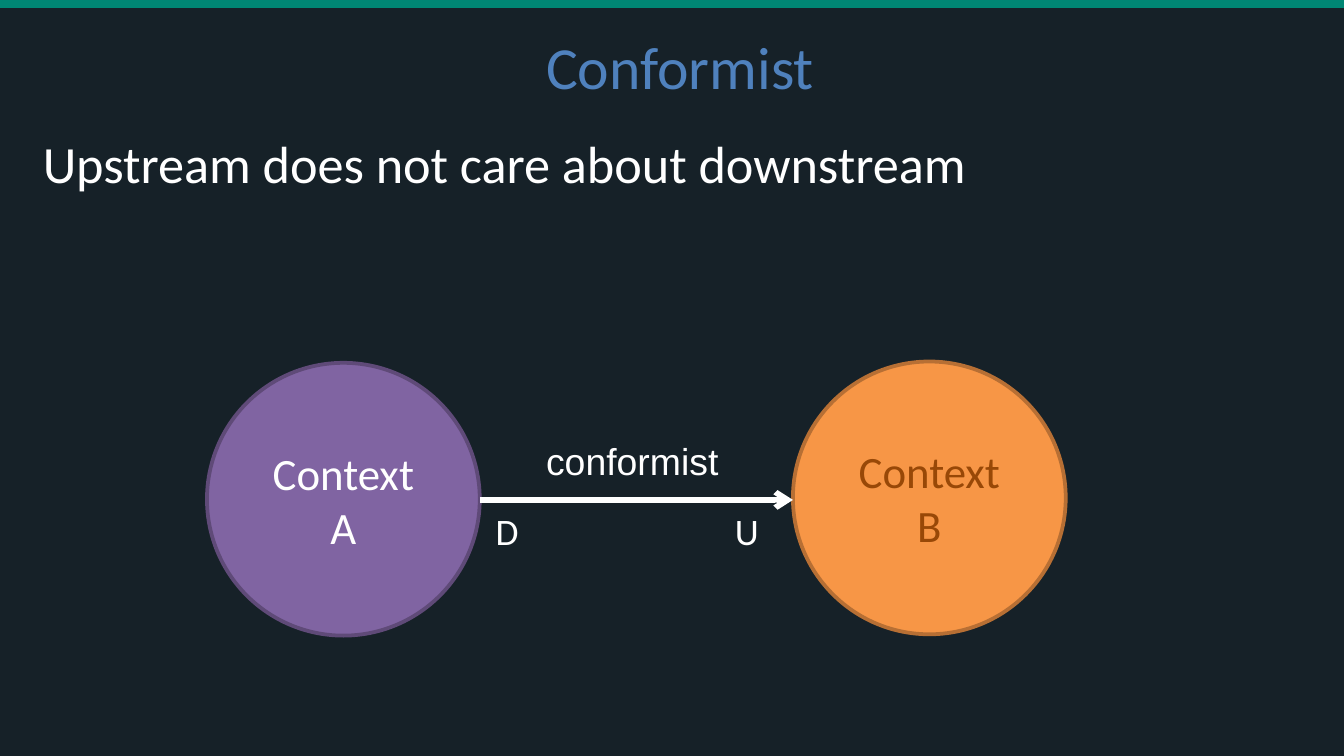
"""Build the Conformist context-map slide."""
from lxml import etree
from pptx import Presentation
from pptx.dml.color import RGBColor
from pptx.enum.shapes import MSO_CONNECTOR, MSO_SHAPE
from pptx.enum.text import MSO_ANCHOR, PP_ALIGN
from pptx.oxml.ns import qn
from pptx.util import Inches, Pt

STRAIGHT = MSO_CONNECTOR.STRAIGHT
OVAL, RECTANGLE = MSO_SHAPE.OVAL, MSO_SHAPE.RECTANGLE
TOP, MIDDLE = MSO_ANCHOR.TOP, MSO_ANCHOR.MIDDLE
LEFT, CENTER = PP_ALIGN.LEFT, PP_ALIGN.CENTER

WIDTH = 10
HEIGHT = WIDTH * 9 / 16
BACKGROUND, BAND, WHITE = "162128", "008774", "FFFFFF"
DIAMETER = 2.03
ARROW_Y = 3.72

TITLE = dict(lines=["Conformist"], size=32, color="4F81BD", align=CENTER, anchor=MIDDLE, inset=0.1)
STATEMENT = dict(lines=["Upstream does not care about downstream"], size=28, inset=0.1)
RELATION = dict(lines=["conformist"], size=20, font="Arial", align=CENTER)
CONTEXTS = [
    (["Context", "A"], 1.54, 2.7, "8064A2", "5F4A78", WHITE),
    (["Context", "B"], 5.9, 2.69, "F79646", "B76F34", "984807"),
]
ROLES = [("D", 3.59, 0.37), ("U", 5.37, 0.38)]


def rgb(value):
    return RGBColor.from_string(value)


def write(shape, lines, size, font="Calibri", color=WHITE, align=LEFT, anchor=TOP, inset=None, wrap=True):
    frame = shape.text_frame
    formats = {"word_wrap": wrap, "vertical_anchor": anchor}
    if inset is not None:
        for side in ("left", "top", "right", "bottom"):
            formats[f"margin_{side}"] = Inches(inset)
    for name, value in formats.items():
        setattr(frame, name, value)
    for index, line in enumerate(lines):
        paragraph = frame.add_paragraph() if index else frame.paragraphs[0]
        paragraph.alignment = align
        run = paragraph.add_run()
        run.text = line
        for name, value in {"size": Pt(size), "name": font}.items():
            setattr(run.font, name, value)
        run.font.color.rgb = rgb(color)


def add_text(slide, box, **text):
    write(slide.shapes.add_textbox(*map(Inches, box)), **text)


def add_filled(slide, kind, box, fill, outline=None):
    shape = slide.shapes.add_shape(kind, *map(Inches, box))
    shape.shadow.inherit = False
    shape.fill.solid()
    shape.fill.fore_color.rgb = rgb(fill)
    if outline:
        shape.line.color.rgb = rgb(outline)
        shape.line.width = Pt(2)
    else:
        shape.line.fill.background()
    return shape


def add_arrow(slide, start, end, y):
    arrow = slide.shapes.add_connector(STRAIGHT, *map(Inches, (start, y, end, y)))
    arrow.line.color.rgb = rgb(WHITE)
    arrow.line.width = Pt(3)
    properties = arrow._element.spPr
    etree.SubElement(properties.find(qn("a:ln")), qn("a:tailEnd"), type="arrow")
    etree.SubElement(properties, qn("a:effectLst"))


def main():
    deck = Presentation()
    deck.slide_width, deck.slide_height = Inches(WIDTH), Inches(HEIGHT)
    slide = deck.slides.add_slide(deck.slide_layouts[6])
    slide.background.fill.solid()
    slide.background.fill.fore_color.rgb = rgb(BACKGROUND)

    add_filled(slide, RECTANGLE, (0, 0, WIDTH, 0.06), BAND)
    add_text(slide, (0.12, 0.19, 9.88, 0.59), **TITLE)
    add_text(slide, (0.22, 0.88, 9.54, 3.53), **STATEMENT)

    start, end = CONTEXTS[0][1] + DIAMETER, CONTEXTS[1][1]
    add_text(slide, (start, 3.21, 2.27, 0.42), **RELATION)
    for lines, left, top, fill, outline, color in CONTEXTS:
        circle = add_filled(slide, OVAL, (left, top, DIAMETER, DIAMETER), fill, outline)
        write(circle, lines, 24, color=color, align=CENTER, anchor=MIDDLE)

    add_arrow(slide, start, end, ARROW_Y)
    for role, left, width in ROLES:
        add_text(slide, (left, ARROW_Y + 0.01, width, 0.44), lines=[role], size=20, wrap=False)

    deck.save("out.pptx")


if __name__ == "__main__":
    main()
